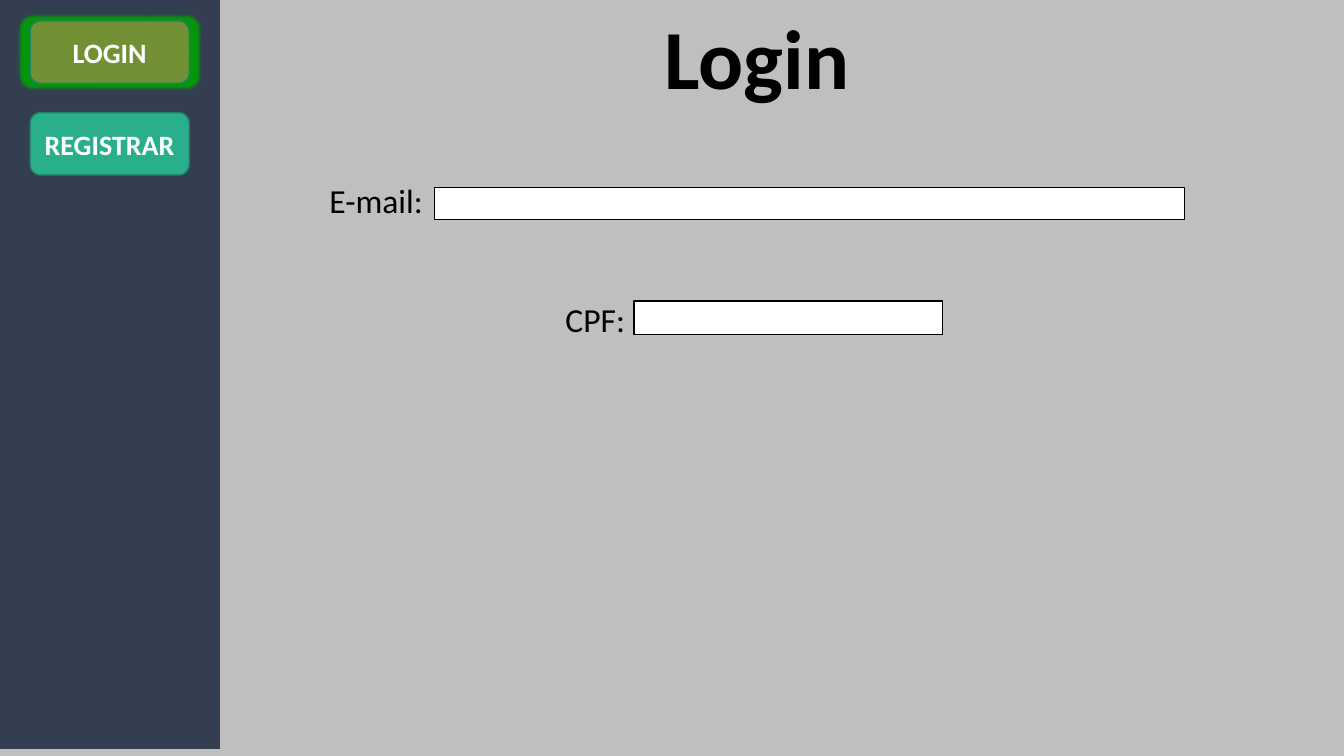
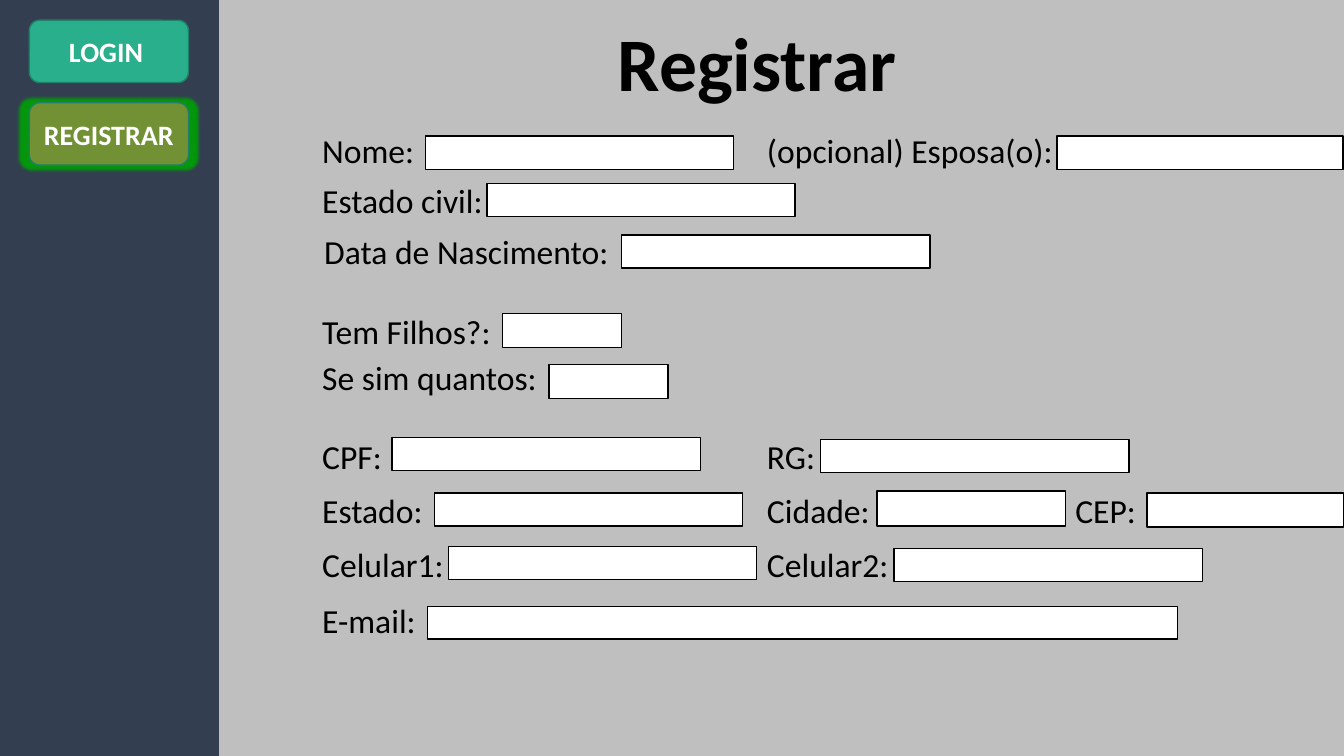
"""Build the login and registration screens of a form mock-up."""
from lxml import etree
from pptx import Presentation
from pptx import util as u
from pptx.dml.color import RGBColor
from pptx.enum import shapes, text
from pptx.oxml.ns import qn

FONT = "Calibri"
BLACK, WHITE, GREY, NAVY = "000000", "FFFFFF", "BFBFBF", "333F50"
TEAL, TEAL_EDGE, OLIVE, GLOW = "29AF8C", "1E8168", "729134", "029C09"

PAGE_SIZE = (33.87, 19.05)
SIDEBAR_SIZE = (5.51, 19.05)
BUTTON_SIZE = (4.01, 1.57)
TITLE_LEFT, TITLE_WIDTH = 6.38, 25.4
LABEL_HEIGHT = 1.27
LEFT, MIDDLE, RIGHT = 7.87, 19.08, 26.85
STANDARD, SMALL, LONG = (7.77, 0.84), (3, 0.86), (18.9, 0.81)

LABEL_WIDTHS = {
    "Nome:": 2.84, "(opcional) Esposa(o):": 7.77, "Estado civil:": 4.6,
    "Data de Nascimento:": 7.75, "Tem Filhos?:": 4.8, "Se sim quantos:": 5.97,
    "CPF:": 2.03, "RG:": 1.73, "Estado:": 3.07, "Cidade:": 3.12, "CEP:": 2.06,
    "Celular1:": 3.61, "Celular2:": 3.61, "E-mail:": 2.9,
}

SCREENS = [
    {
        "title": ("Login", 60, 0.18, 2.67),
        "sidebar": (0.03, -0.18),
        "button_left": 0.76,
        "buttons": [("LOGIN", 0.53, True), ("REGISTRAR", 2.84, False)],
        "fields": [
            ("E-mail:", (8.05, 4.42), (10.95, 4.72), LONG),
            ("CPF:", (14, 7.42), (15.98, 7.59), STANDARD),
        ],
    },
    {
        "title": ("Registrar", 54, 0.43, 2.41),
        "sidebar": (0, 0),
        "button_left": 0.74,
        "buttons": [("LOGIN", 0.51, False), ("REGISTRAR", 2.59, True)],
        "fields": [
            ("Nome:", (LEFT, 3.15), (10.72, 3.43), STANDARD),
            ("(opcional) Esposa(o):", (MIDDLE, 3.15), (26.64, 3.43), (7.21, 0.84)),
            ("Estado civil:", (LEFT, 4.42), (12.27, 4.62), STANDARD),
            ("Data de Nascimento:", (7.92, 5.69), (15.67, 5.92), STANDARD),
            ("Tem Filhos?:", (LEFT, 7.72), (12.67, 7.9), SMALL),
            ("Se sim quantos:", (LEFT, 8.86), (13.84, 9.19), SMALL),
            ("CPF:", (LEFT, 10.85), (9.88, 11.02), STANDARD),
            ("RG:", (MIDDLE, 10.85), (20.68, 11.07), STANDARD),
            ("Estado:", (LEFT, 12.22), (10.95, 12.42), STANDARD),
            ("Cidade:", (MIDDLE, 12.22), (22.1, 12.37), (4.75, 0.89)),
            ("CEP:", (RIGHT, 12.22), (28.91, 12.42), (4.95, 0.86)),
            ("Celular1:", (LEFT, 13.59), (11.3, 13.77), STANDARD),
            ("Celular2:", (MIDDLE, 13.59), (22.53, 13.82), STANDARD),
            ("E-mail:", (LEFT, 14.99), (10.77, 15.29), LONG),
        ],
    },
]


def rgb(value):
    return RGBColor.from_string(value)


def place(position, size):
    return [u.Cm(length) for length in (*position, *size)]


def add_span(para, words, size, color, bold=False):
    span = para.add_run()
    span.text = words
    span.font.name = FONT
    span.font.size = u.Pt(size)
    span.font.bold = bold
    span.font.color.rgb = rgb(color)


def add_block(page, kind, position, size, fill, edge):
    block = page.shapes.add_shape(kind, *place(position, size))
    block.shadow.inherit = False
    block.fill.solid()
    block.fill.fore_color.rgb = rgb(fill)
    block.line.color.rgb = rgb(edge)
    block.line.width = u.Pt(1)
    return block


def add_rectangle(page, position, size, fill, edge):
    return add_block(page, shapes.MSO_SHAPE.RECTANGLE, position, size, fill, edge)


def add_glow(block):
    effects = block._element.spPr.find(qn("a:effectLst"))
    shadow = etree.SubElement(
        effects, qn("a:outerShdw"), blurRad=str(u.Pt(2)), dist="0", dir="5400000",
        sx="111000", sy="113000", algn="ctr", rotWithShape="0")
    color = etree.SubElement(shadow, qn("a:srgbClr"), val=GLOW)
    etree.SubElement(color, qn("a:alpha"), val="95000")


def add_button(page, words, position, active):
    button = add_block(page, shapes.MSO_SHAPE.ROUNDED_RECTANGLE, position,
                       BUTTON_SIZE, OLIVE if active else TEAL, TEAL_EDGE)
    button.text_frame.vertical_anchor = text.MSO_ANCHOR.MIDDLE
    para = button.text_frame.paragraphs[0]
    para.alignment = text.PP_ALIGN.CENTER
    add_span(para, words, 20, WHITE, bold=True)
    if active:
        add_glow(button)
    else:
        add_span(para, " ", 18, WHITE)


def add_title(page, words, size, top, height):
    box = page.shapes.add_textbox(*place((TITLE_LEFT, top), (TITLE_WIDTH, height)))
    box.text_frame.word_wrap = True
    box.text_frame.vertical_anchor = text.MSO_ANCHOR.BOTTOM
    para = box.text_frame.paragraphs[0]
    para.alignment = text.PP_ALIGN.CENTER
    para.line_spacing = 0.9
    add_span(para, words, size, BLACK, bold=True)


def add_field(page, label, label_position, entry_position, entry_size):
    size = (LABEL_WIDTHS[label], LABEL_HEIGHT)
    box = page.shapes.add_textbox(*place(label_position, size))
    box.text_frame.word_wrap = False
    box.text_frame.auto_size = text.MSO_AUTO_SIZE.SHAPE_TO_FIT_TEXT
    add_span(box.text_frame.paragraphs[0], label, 24, BLACK)
    add_rectangle(page, entry_position, entry_size, WHITE, BLACK)


def add_screen(deck, screen):
    page = deck.slides.add_slide(deck.slide_layouts[6])
    page.background.fill.solid()
    page.background.fill.fore_color.rgb = rgb(GREY)
    add_title(page, *screen["title"])
    add_rectangle(page, screen["sidebar"], SIDEBAR_SIZE, NAVY, NAVY)
    for words, top, active in screen["buttons"]:
        add_button(page, words, (screen["button_left"], top), active)
    for field in screen["fields"]:
        add_field(page, *field)


def main():
    deck = Presentation()
    deck.slide_width, deck.slide_height = [u.Cm(length) for length in PAGE_SIZE]
    for screen in SCREENS:
        add_screen(deck, screen)
    deck.save("out.pptx")


if __name__ == "__main__":
    main()
